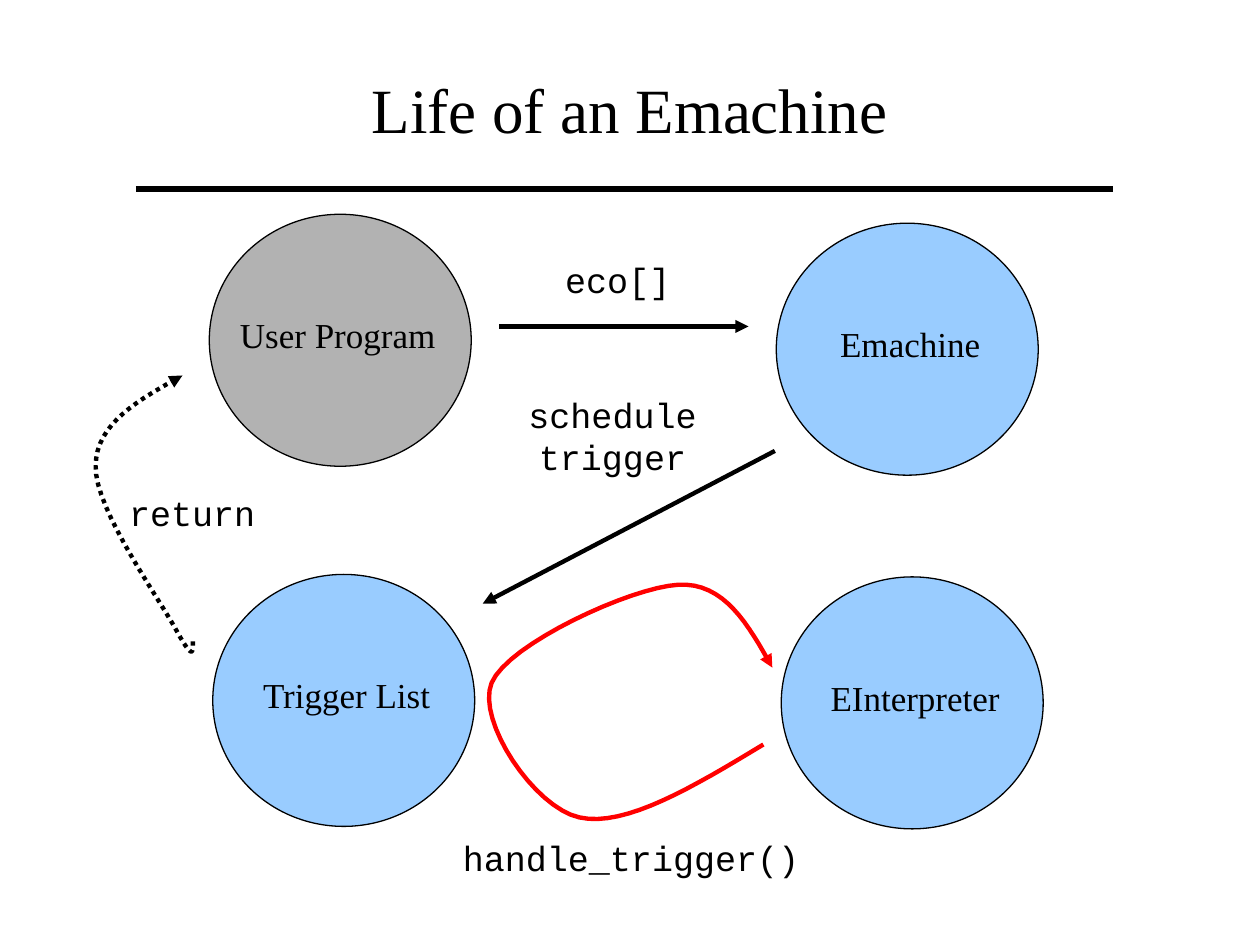
from lxml.etree import SubElement
from pptx import Presentation
from pptx.dml.color import RGBColor
from pptx.enum.dml import MSO_LINE
from pptx.enum.shapes import MSO_CONNECTOR, MSO_SHAPE
from pptx.enum.text import MSO_ANCHOR, PP_ALIGN
from pptx.oxml.ns import qn
from pptx.util import Cm, Pt

COLORS = {"ink": "000000", "user": "B2B2B2", "machine": "99CCFF", "loop": "FF0000"}
SERIF, MONO = "Times New Roman", "Courier New"
STATE_WIDTH, STATE_HEIGHT = 5.28, 5.08
STEPS = 16  # straight pieces per Bezier segment


def color(name):
    return RGBColor.from_string(COLORS[name])


def bezier_point(start, first, second, end, t):
    weights = ((1 - t) ** 3, 3 * t * (1 - t) ** 2, 3 * t ** 2 * (1 - t), t ** 3)
    corners = (start, first, second, end)
    return tuple(Cm(sum(w * corner[axis] for w, corner in zip(weights, corners)))
                 for axis in (0, 1))


class Diagram:
    """Draws the elements of one slide; all lengths are in centimetres."""

    def __init__(self, page):
        self.page = page
        self.shapes = page.shapes

    def style_text(self, frame, text, size, font):
        frame.word_wrap = True
        frame.text = text
        para = frame.paragraphs[0]
        para.alignment = PP_ALIGN.CENTER
        para.font.size = Pt(size)
        para.font.name = font
        para.font.color.rgb = color("ink")

    def style_line(self, shape, name, width, arrow=False, dash=None):
        shape.line.color.rgb = color(name)
        shape.line.width = Pt(width)
        if dash:
            shape.line.dash_style = dash
        if arrow:
            outline = shape._element.spPr.find(qn("a:ln"))
            SubElement(outline, qn("a:tailEnd"), type="triangle")

    def title(self, text):
        title = self.shapes.title
        title.left, title.top, title.width, title.height = map(Cm, (1.9, 1.12, 21.59, 2.11))
        title.text_frame.vertical_anchor = MSO_ANCHOR.MIDDLE
        self.style_text(title.text_frame, text, 36, SERIF)

    def label(self, text, left, top, width, height=1.12, font=MONO):
        box = self.shapes.add_textbox(Cm(left), Cm(top), Cm(width), Cm(height))
        self.style_text(box.text_frame, text, 20, font)

    def state(self, text, left, top, fill="machine", shift=0.06):
        """Adds a circle and its name, moved sideways by shift."""
        circle = self.shapes.add_shape(MSO_SHAPE.OVAL, Cm(left), Cm(top),
                                       Cm(STATE_WIDTH), Cm(STATE_HEIGHT))
        circle.shadow.inherit = False
        circle.fill.solid()
        circle.fill.fore_color.rgb = color(fill)
        self.style_line(circle, "ink", 0.75)
        self.label(text, left + shift, top + 1.88, STATE_WIDTH, font=SERIF)

    def line(self, start, end, width=2.5, arrow=True):
        line = self.shapes.add_connector(MSO_CONNECTOR.STRAIGHT, *map(Cm, start + end))
        self.style_line(line, "ink", width, arrow)
        SubElement(line._element.spPr, qn("a:effectLst"))

    def curve(self, points, name, dash=None):
        """Adds an arrow along joined cubic Beziers: a start, then three points each."""
        builder = self.shapes.build_freeform(*map(Cm, points[0]))
        builder.add_line_segments(
            [bezier_point(*points[i:i + 4], step / STEPS)
             for i in range(0, len(points) - 1, 3) for step in range(1, STEPS + 1)],
            close=False)
        curve = builder.convert_to_shape()
        curve.shadow.inherit = False
        curve.fill.background()
        self.style_line(curve, name, 2.5, True, dash)


def main():
    deck = Presentation()
    deck.slide_width, deck.slide_height = Cm(25.4), Cm(19.05)
    diagram = Diagram(deck.slides.add_slide(deck.slide_layouts[5]))

    diagram.title("Life of an Emachine")
    diagram.line((2.74, 3.81), (22.43, 3.81), width=3, arrow=False)

    diagram.state("User Program", 4.22, 4.32, fill="user", shift=-0.05)
    diagram.state("Emachine", 15.65, 4.5)
    diagram.state("Trigger List", 4.29, 11.58)
    diagram.state("EInterpreter", 15.75, 11.63)

    diagram.line((10.06, 6.58), (15.09, 6.58))
    diagram.label("eco[]", 10.59, 5.08, 3.73)
    diagram.line((15.62, 9.09), (9.73, 12.17))
    diagram.label("schedule trigger", 10.19, 7.8, 4.32, 1.96)

    diagram.label("handle_trigger()", 8.89, 16.74, 7.67)
    diagram.curve([(15.39, 15.01),
                   (14, 15.85), (12.6, 16.69), (11.68, 16.48),
                   (10.77, 16.28), (9.6, 14.53), (9.91, 13.77),
                   (10.24, 12.98), (12.73, 11.84), (13.67, 11.79),
                   (14.6, 11.73), (15.09, 12.6), (15.57, 13.46)], "loop")
    diagram.curve([(3.89, 12.93),
                   (3.89, 13.13), (3.91, 13.34), (3.58, 12.75),
                   (3.28, 12.17), (1.9, 10.26), (1.93, 9.4),
                   (1.93, 8.53), (2.82, 8.05), (3.68, 7.57)],
                  "ink", MSO_LINE.ROUND_DOT)
    diagram.label("return", 2.01, 9.78, 3.73)

    deck.save("out.pptx")


if __name__ == "__main__":
    main()
